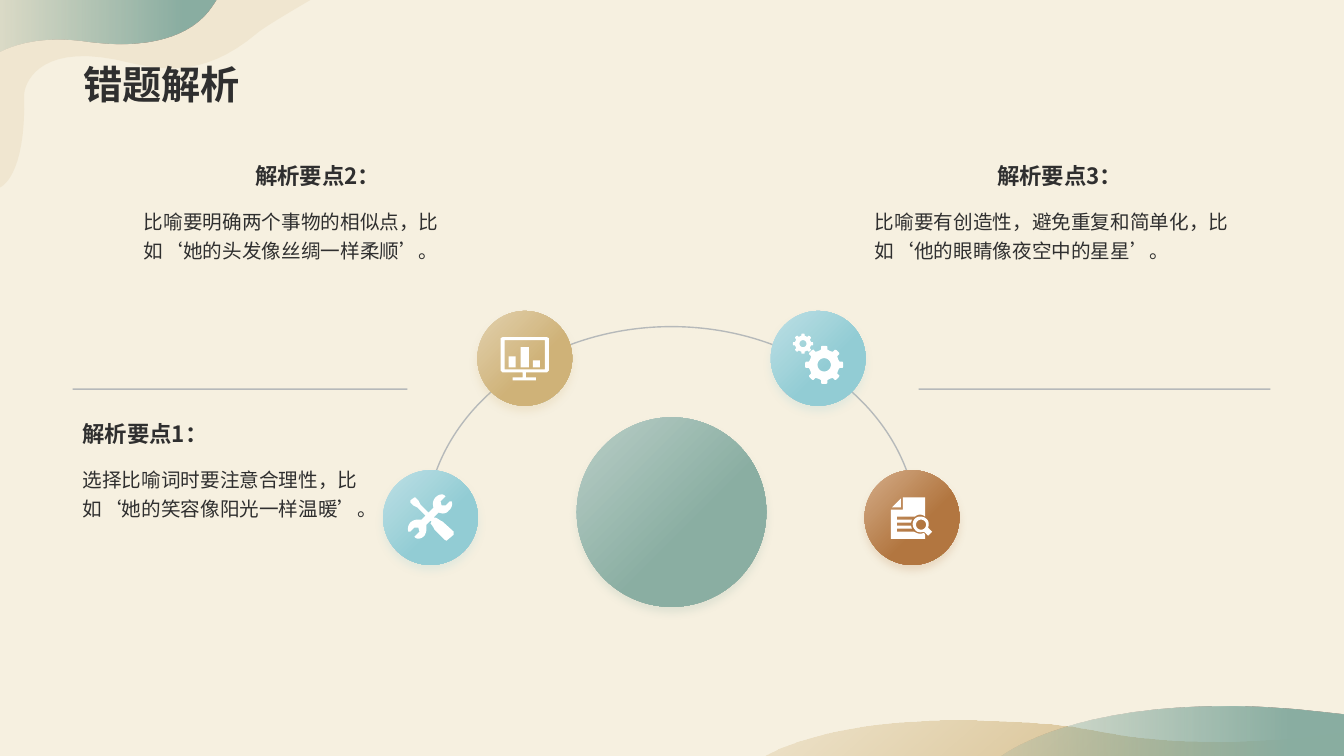
from dataclasses import dataclass
from math import cos, pi, sin

from lxml.etree import SubElement
from pptx import Presentation
from pptx.dml.color import RGBColor
from pptx.enum.shapes import MSO_CONNECTOR, MSO_SHAPE
from pptx.enum.text import MSO_ANCHOR as Anchor, MSO_AUTO_SIZE as AutoSize, PP_ALIGN as Align
from pptx.oxml.ns import qn
from pptx.shapes.base import BaseShape
from pptx.slide import Slide
from pptx.util import Inches, Pt

SLIDE_WIDTH, SLIDE_HEIGHT = Inches(13.33), Inches(7.5)
GRID_ROWS = 75
CELL = SLIDE_HEIGHT / GRID_ROWS
ICON_CELL = CELL / 10
RIGHT_EDGE = SLIDE_WIDTH / CELL

CREAM = RGBColor(0xF6, 0xF0, 0xE0)
INK = RGBColor(0x2F, 0x2F, 0x2F)
SLATE = RGBColor(0x77, 0x84, 0x95)
WHITE = RGBColor(0xFF, 0xFF, 0xFF)
SAGE, SAGE_LIGHT = RGBColor(0x8A, 0xAE, 0xA2), RGBColor(0xB9, 0xCE, 0xC7)
GOLD, GOLD_LIGHT = RGBColor(0xCF, 0xB2, 0x78), RGBColor(0xE2, 0xD1, 0xAE)
AQUA, AQUA_LIGHT = RGBColor(0x92, 0xCC, 0xD4), RGBColor(0xBE, 0xE0, 0xE5)
RUST, RUST_LIGHT = RGBColor(0xB2, 0x76, 0x40), RGBColor(0xD4, 0xAD, 0x89)
FONT = "Noto Sans CJK SC"

Point = tuple[float, float]
# A contour step is a corner (x, y) or a Bezier curve (x1, y1, x2, y2, x, y).
Contour = list[tuple[float, ...]]


@dataclass
class Wave:
    contour: Contour
    color: RGBColor
    start_alpha: int
    end_stop: float = 0  # 0 means a plain fill
    angle: float = 0


@dataclass
class Medallion:
    center: Point
    size: float
    light: RGBColor
    color: RGBColor
    icon: list[Contour]


@dataclass
class KeyPoint:
    left: float
    top: float
    width: float
    heading: str
    body: str
    align: Align


def rectangle(left: float, top: float, right: float, bottom: float) -> Contour:
    return [(left, top), (right, top), (right, bottom), (left, bottom)]


def circle(x: float, y: float, radius: float) -> Contour:
    return [(x + radius * cos(k * pi / 16), y + radius * sin(k * pi / 16)) for k in range(32)]


def gear(x: float, y: float, radius: float) -> list[Contour]:
    """Eight teeth around a round hole."""
    profile = ((-0.32, 0.79), (-0.2, 0.82), (-0.17, 0.97), (-0.1, 1),
               (0.1, 1), (0.17, 0.97), (0.2, 0.82), (0.32, 0.79))
    rim = [(x + radius * reach * cos(tooth * pi / 4 + turn), y + radius * reach * sin(tooth * pi / 4 + turn))
           for tooth in range(8) for turn, reach in profile]
    return [rim, circle(x, y, radius * 0.35)]


WAVES = [
    Wave([(95.6, 71.5), (98.9, 71.5, 103.8, 71.7, 107, 72.2), (110.3, 72.7, 117.9, 74.6, 131.9, 72.8),
          (RIGHT_EDGE, 72.6), (RIGHT_EDGE, 75), (75.7, 75), (76.5, 74.5, 82.3, 71.4, 95.6, 71.5)],
         GOLD, 20, 1, 50),
    Wave([(121.9, 70.1), (124.7, 70.1, 127.9, 70.3, 131.3, 70.7), (RIGHT_EDGE, 70.9), (RIGHT_EDGE, 75),
          (99.3, 75), (100.3, 74.3, 106.8, 70, 121.9, 70.1)], SAGE, 20, 0.85),
    Wave([(0, 18.6), (0, 18.6, 2.6, 17.7, 2.4, 9.4), (2.4, 8.5, 3.6, 4.4, 11.4, 5.9),
          (15.7, 6.9, 19.9, 8, 25.5, 3.3), (26.3, 2.6, 30.8, 0, 30.8, 0), (0, 0)], GOLD, 15),
    Wave([(0, 0), (21.5, 0), (21.1, 0.6), (19, 3.8, 14.3, 4.9, 8.5, 4.1),
          (4.2, 3.5, 1.4, 4.4, 0, 5.1)], SAGE, 20, 0.85),
]
TOOLS = [[
    (23, 14), (12, 4), (10, 3), (7, 1), (5, 0), (3, 0), (8, -5), (12, -4), (14, -4, 17, -5, 18, -7),
    (21, -9, 22, -13, 21, -16), (19, -16), (15, -12), (11, -12), (10, -16), (15, -21), (14, -22),
    (12, -23), (9, -23, 7, -22, 5, -20), (2, -17, 2, -13, 3, -10), (-2, -5), (-10, -13), (-12, -17),
    (-15, -20), (-16, -20), (-20, -17), (-20, -15), (-17, -12), (-13, -10), (-5, -2), (-9, 2), (-13, 2),
    (-15, 2, -18, 3, -20, 5), (-22, 7, -23, 11, -22, 14), (-20, 14), (-16, 10), (-12, 10), (-11, 14),
    (-16, 19), (-15, 20), (-13, 21), (-10, 21, -8, 20, -6, 18), (-5, 16, -4, 14, -4, 11), (-4, 7),
    (0, 3), (1, 4), (0, 6), (1, 7), (3, 10), (4, 12), (14, 22), (16, 23), (17, 22), (23, 17)]]
MONITOR = [
    rectangle(-20, -18, 20, 11), rectangle(-16, -2, -9, 9), rectangle(-4, -11, 4, 9), rectangle(8, 2, 15, 9),
    [(-22, -21), (22, -21), (24, -20), (24, 12), (22, 14), (1, 14), (1, 19), (11, 19), (11, 22),
     (-12, 22), (-12, 19), (-2, 19), (-2, 14), (-22, 14), (-24, 12), (-24, -20)]]
GEARS = gear(6, 6.5, 19) + gear(-15, -14.5, 10)
SEARCHED_PAGE = [
    circle(9, 7, 5),
    [(8, -1), (11, -1, 13, 0, 14, 1), (17, 3, 17, 7, 16, 10), (20, 14), (16, 18), (12, 14),
     (9, 15, 5, 15, 3, 12), (0, 9, 0, 4, 3, 1), (4, 0, 6, -1, 8, -1)],
    [(-11, -19), (-11, -10), (-20, -10)],
    [(-9, -20), (13, -20), (13, -1), (12, -2, 10, -3, 8, -3), (6, -3, 4, -2, 3, -1), (-15, -1), (-15, 2),
     (0, 2), (-1, 5), (-15, 5), (-15, 8), (-1, 8), (0, 11), (-15, 11), (-15, 14), (2, 14),
     (4, 15, 6, 16, 8, 16), (9, 16, 10, 16, 12, 15), (13, 17), (13, 21), (-21, 21), (-21, -8), (-9, -8)]]
MEDALLIONS = [
    Medallion((66.6, 50.8), 18.8, SAGE_LIGHT, SAGE, []),
    Medallion((42.7, 51.35), 9.4, AQUA_LIGHT, AQUA, TOOLS),
    Medallion((52.05, 35.55), 9.4, GOLD_LIGHT, GOLD, MONITOR),
    Medallion((81.15, 35.55), 9.4, AQUA_LIGHT, AQUA, GEARS),
    Medallion((90.45, 51.35), 9.4, RUST_LIGHT, RUST, SEARCHED_PAGE),
]
KEY_POINTS = [
    KeyPoint(7.2, 41.1, 30.9, "解析要点1：", "选择比喻词时要注意合理性，比如‘她的笑容像阳光一样温暖’。", Align.LEFT),
    KeyPoint(13.3, 15.5, 36.4, "解析要点2：", "比喻要明确两个事物的相似点，比如‘她的头发像丝绸一样柔顺’。", Align.CENTER),
    KeyPoint(85.8, 15.5, 38.6, "解析要点3：", "比喻要有创造性，避免重复和简单化，比如‘他的眼睛像夜空中的星星’。", Align.CENTER),
]
RULES = [(7.2, 40.4), (91.1, 126)]
RULE_ROW = 38.6


def grid(*lengths: float) -> list[int]:
    return [round(length * CELL) for length in lengths]


def trace(contour: Contour, steps: int = 16) -> list[Point]:
    """Turn corners and Bezier curves into points."""
    points = [contour[0]]
    for step in contour[1:]:
        if len(step) == 2:
            points.append(step)
            continue
        knots = [points[-1], step[:2], step[2:4], step[4:]]
        for k in range(1, steps + 1):
            t = k / steps
            weights = ((1 - t) ** 3, 3 * t * (1 - t) ** 2, 3 * t * t * (1 - t), t ** 3)
            points.append(tuple(sum(w * knot[axis] for w, knot in zip(weights, knots)) for axis in (0, 1)))
    return points


def set_alpha(shape: BaseShape, percent: int) -> None:
    """Make the shape's first colour see-through."""
    SubElement(shape.element.spPr.xpath(".//a:srgbClr")[0], qn("a:alpha"), val=str(percent * 1000))


def fill_gradient(shape: BaseShape, start: RGBColor, end: RGBColor, end_stop: float, angle: float) -> None:
    shape.fill.gradient()
    shape.fill.gradient_angle = (360 - angle) % 360
    for stop, color, position in zip(shape.fill.gradient_stops, (start, end), (0, end_stop)):
        stop.color.rgb, stop.position = color, position


def draw_outline(slide: Slide, contours: list[Contour], color: RGBColor, center: Point = (0, 0),
                 unit: float = CELL) -> BaseShape:
    def place(point: Point) -> Point:
        return tuple(round(c * CELL + p * unit) for c, p in zip(center, point))

    traced = [[place(point) for point in trace(contour)] for contour in contours]
    builder = slide.shapes.build_freeform(*traced[0][0], scale=1.0)
    for number, points in enumerate(traced):
        if number:
            builder.move_to(*points[0])
        builder.add_line_segments(points[1:], close=True)
    shape = builder.convert_to_shape()
    shape.shadow.inherit = False
    shape.line.fill.background()
    shape.fill.solid()
    shape.fill.fore_color.rgb = color
    return shape


def draw_wave(slide: Slide, wave: Wave) -> None:
    shape = draw_outline(slide, [wave.contour], wave.color)
    if wave.end_stop:
        fill_gradient(shape, wave.color, wave.color, wave.end_stop, wave.angle)
    set_alpha(shape, wave.start_alpha)


def draw_medallion(slide: Slide, medallion: Medallion) -> None:
    x, y = medallion.center
    size = medallion.size
    disc = slide.shapes.add_shape(MSO_SHAPE.OVAL, *grid(x - size / 2, y - size / 2, size, size))
    fill_gradient(disc, medallion.light, medallion.color, 0.6, 45)
    disc.line.fill.background()
    disc.shadow.inherit = False
    shadow = SubElement(disc.element.spPr.find(qn("a:effectLst")), qn("a:outerShdw"), blurRad=str(Pt(6)),
                        dist=str(Pt(4)), dir=str(90 * 60000), rotWithShape="0")
    tint = SubElement(shadow, qn("a:srgbClr"), val=str(medallion.color))
    SubElement(tint, qn("a:alpha"), val="20000")
    if medallion.icon:
        draw_outline(slide, medallion.icon, WHITE, medallion.center, ICON_CELL)


def style_thin_line(shape: BaseShape) -> None:
    shape.line.color.rgb, shape.line.width = SLATE, Pt(1)
    set_alpha(shape, 50)


def draw_arc(slide: Slide) -> None:
    arc = slide.shapes.add_shape(MSO_SHAPE.ARC, *grid(42.2, 32.4, 48.8, 40.5))
    arc.adjustments[0], arc.adjustments[1] = 108, 0.206
    arc.fill.background()
    arc.shadow.inherit = False
    style_thin_line(arc)


def draw_rule(slide: Slide, left: float, right: float) -> None:
    rule = slide.shapes.add_connector(MSO_CONNECTOR.STRAIGHT, *grid(left, RULE_ROW, right, RULE_ROW))
    style_thin_line(rule)
    SubElement(rule.element.spPr, qn("a:effectLst"))


def add_text(slide: Slide, text: str, *box: float, size: float, bold: bool = False, align: Align = Align.LEFT,
             anchor: Anchor = Anchor.TOP, spacing: float = 1.0, grow: bool = True) -> None:
    frame = slide.shapes.add_textbox(*grid(*box)).text_frame
    frame.word_wrap, frame.vertical_anchor = True, anchor
    frame.auto_size = AutoSize.SHAPE_TO_FIT_TEXT if grow else AutoSize.NONE
    paragraph = frame.paragraphs[0]
    paragraph.alignment, paragraph.line_spacing = align, spacing
    run = paragraph.add_run()
    run.text = text
    run.font.size, run.font.bold, run.font.name = Pt(size), bold, FONT
    run.font.color.rgb = INK
    SubElement(run._r.get_or_add_rPr(), qn("a:ea"), typeface=FONT)


def main() -> None:
    deck = Presentation()
    deck.slide_width, deck.slide_height = SLIDE_WIDTH, SLIDE_HEIGHT
    slide = deck.slides.add_slide(deck.slide_layouts[6])
    slide.background.fill.solid()
    slide.background.fill.fore_color.rgb = CREAM
    for wave in WAVES:
        draw_wave(slide, wave)
    draw_arc(slide)
    for left, right in RULES:
        draw_rule(slide, left, right)
    for medallion in MEDALLIONS:
        draw_medallion(slide, medallion)
    for point in KEY_POINTS:
        add_text(slide, point.heading, point.left, point.top, point.width, 3.7, size=16, bold=True,
                 align=point.align, anchor=Anchor.BOTTOM)
        add_text(slide, point.body, point.left, point.top + 4.4, point.width, 3.8, size=14, spacing=1.2)
    add_text(slide, "错题解析", 7.3, 0, 118.7, 11.2, size=28, bold=True, anchor=Anchor.BOTTOM,
             spacing=0.9, grow=False)
    deck.save("out.pptx")


if __name__ == "__main__":
    main()
